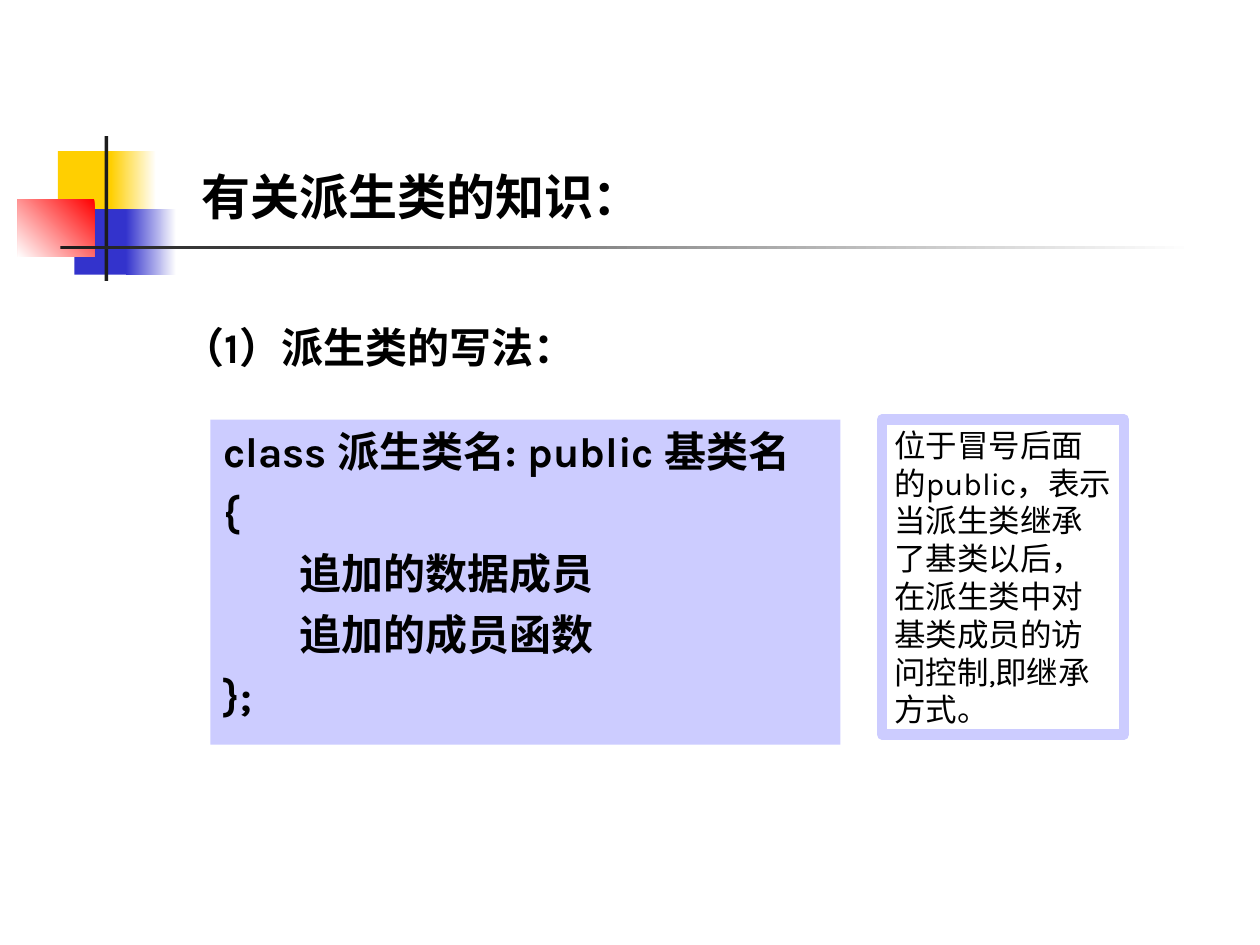
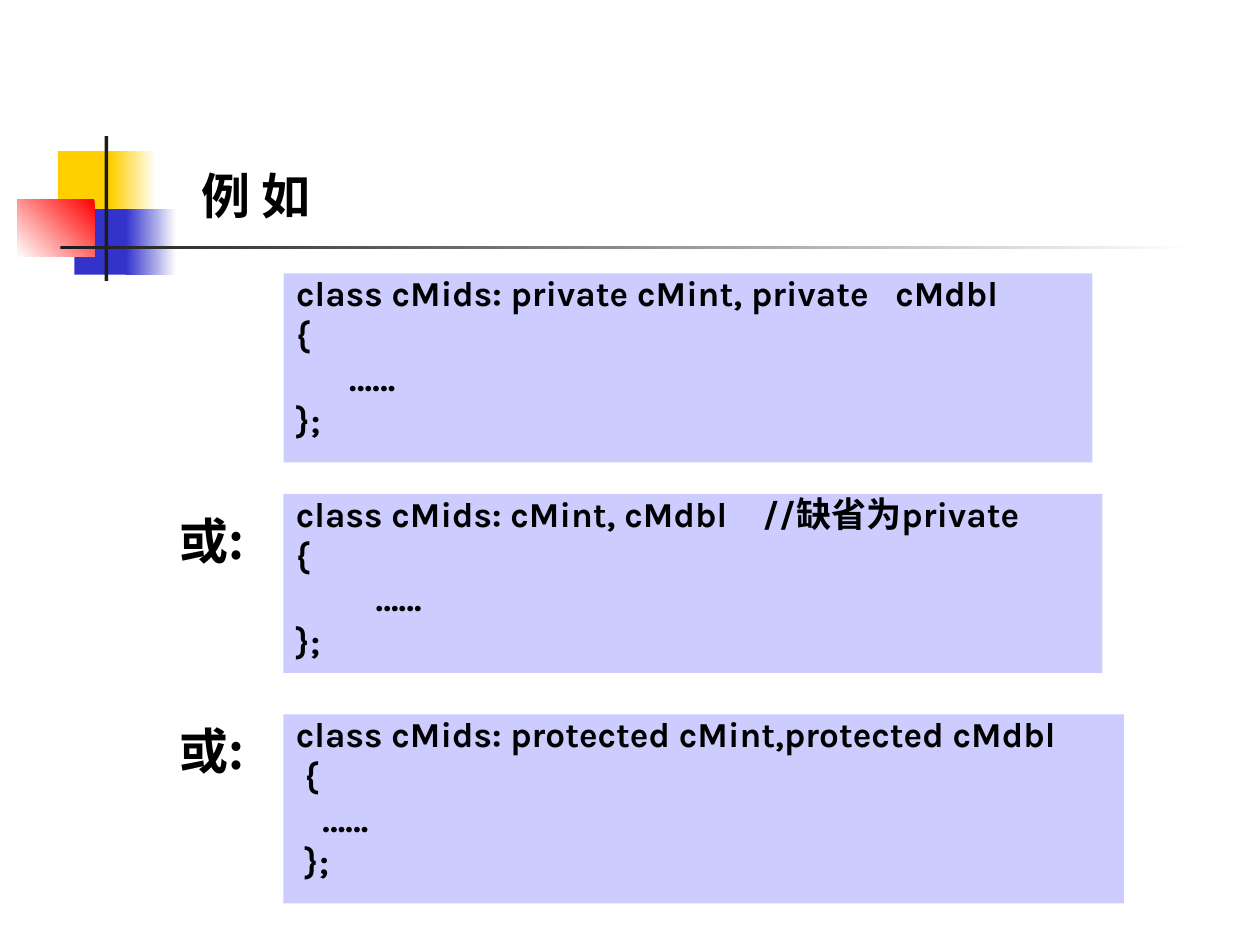
from lxml.etree import SubElement
from pptx import Presentation
from pptx.dml.color import RGBColor
from pptx.enum.shapes import MSO_SHAPE
from pptx.enum.text import MSO_ANCHOR, MSO_AUTO_SIZE, PP_ALIGN
from pptx.oxml.ns import qn
from pptx.util import Inches, Pt

BLACK = RGBColor(0x00, 0x00, 0x00)
WHITE = RGBColor(0xFF, 0xFF, 0xFF)
YELLOW = RGBColor(0xFF, 0xCF, 0x01)
BLUE = RGBColor(0x33, 0x33, 0xCC)
RED = RGBColor(0xFF, 0x00, 0x00)
CHARCOAL = RGBColor(0x1C, 0x1C, 0x1C)
LILAC = RGBColor(0xCC, 0xCC, 0xFF)
LATIN, CJK = "Karla", "Noto Sans CJK SC"

TITLE = {"size": Pt(28), "name": CJK, "bold": True}
HEADING = {"size": Pt(24), "name": LATIN, "bold": True}
CODE = {"size": Pt(20), "name": LATIN, "bold": True}
NOTE = {"size": Pt(18), "name": LATIN, "bold": False}

ORNAMENT = [
    ((0.46, 1.2, 0.48, 0.52), (YELLOW,), 0),
    ((0.88, 1.2, 0.36, 0.52), (YELLOW, WHITE), 0),
    ((0.59, 1.66, 0.46, 0.52), (BLUE,), 0),
    ((1, 1.66, 0.4, 0.52), (BLUE, WHITE), 0),
    ((0.14, 1.58, 0.61, 0.46), (RED, WHITE), 225),
    ((0.83, 1.08, 0.03, 1.15), (CHARCOAL,), 0),
    ((0.48, 1.95, 9, 0.03), (CHARCOAL, WHITE), 0),
]


def place(sp, box):
    """Move and size a shape to a box in inches."""
    sp.left, sp.top, sp.width, sp.height = map(Inches, box)


def add_rect(slide, box):
    """Add a plain rectangle without line or shadow."""
    sp = slide.shapes.add_shape(MSO_SHAPE.RECTANGLE, *map(Inches, box))
    sp.shadow.inherit = False
    sp.line.fill.background()
    return sp


def add_ornament(slide, layout):
    """Draw the coloured squares and rules, then hand them to the layout."""
    for box, colors, angle in ORNAMENT:
        sp = add_rect(slide, box)
        if len(colors) == 1:
            sp.fill.solid()
            sp.fill.fore_color.rgb = colors[0]
        else:
            sp.fill.gradient()
            sp.fill.gradient_angle = angle
            for stop, color in zip(sp.fill.gradient_stops, colors):
                stop.color.rgb = color
        layout.shapes.element.append(sp.element)


def write(sp, lines, style, anchor=MSO_ANCHOR.TOP, wrap=True, hang=0, gap=0, spacing=1.0):
    """Write one formatted paragraph per line."""
    tf = sp.text_frame
    frame = {"word_wrap": wrap, "auto_size": MSO_AUTO_SIZE.NONE, "vertical_anchor": anchor}
    for key, value in frame.items():
        setattr(tf, key, value)
    for i, line in enumerate(lines):
        p = tf.paragraphs[0] if i == 0 else tf.add_paragraph()
        pPr = p._p.get_or_add_pPr()
        pPr.set("marL", str(Inches(hang)))
        pPr.set("indent", str(-Inches(hang)))
        SubElement(pPr, qn("a:buNone"))
        layout = {"alignment": PP_ALIGN.LEFT, "line_spacing": spacing,
                  "space_before": Pt(gap if i else 0)}
        for key, value in layout.items():
            setattr(p, key, value)
        r = p.add_run()
        r.text = line
        for key, value in style.items():
            setattr(r.font, key, value)
        r.font.color.rgb = BLACK
        SubElement(r._r.get_or_add_rPr(), qn("a:ea")).set("typeface", CJK)


def add_title(slide, box, text):
    """Fill the title placeholder."""
    place(slide.shapes.title, box)
    write(slide.shapes.title, [text], TITLE, MSO_ANCHOR.BOTTOM)


def code_panel(sp, lines, style=CODE, gap=5, spacing=0.8):
    """Turn a shape into a lilac panel of code."""
    sp.fill.solid()
    sp.fill.fore_color.rgb = LILAC
    write(sp, lines, style, hang=0.38, gap=gap, spacing=spacing)


def add_label(slide, box, text, style, wrap=False):
    """Add a free label."""
    write(slide.shapes.add_textbox(*map(Inches, box)), [text], style, wrap=wrap)


def add_note(slide, box, text):
    """Add a note framed in lilac."""
    sp = add_rect(slide, box)
    sp.fill.background()
    sp.line.color.rgb = LILAC
    sp.line.width = Pt(6)
    write(sp, [text], NOTE)


def syntax_slide(slide):
    """Build the slide on how a derived class is written."""
    add_title(slide, (1.5, 1.17, 3.83, 0.67), "有关派生类的知识：")
    body = slide.placeholders[1]
    place(body, (1.67, 3.33, 5, 2.58))
    code_panel(body, ["class 派生类名: public 基类名", "{", "        追加的数据成员",
                      "        追加的成员函数", "};"], HEADING, gap=6, spacing=1.0)
    add_label(slide, (1.35, 2.5, 3.55, 0.5), "（1）派生类的写法：", HEADING)
    add_note(slide, (7, 3.33, 1.92, 2.5),
             "位于冒号后面的public，表示当派生类继承了基类以后，"
             "在派生类中对基类成员的访问控制,即继承方式。")


def example_slide(slide):
    """Build the slide with three ways to inherit."""
    add_title(slide, (1.5, 1.33, 1.67, 0.5), "例 如")
    body = slide.placeholders[1]
    place(body, (2.25, 2.17, 6.42, 1.5))
    code_panel(body, ["class cMids: private cMint, private   cMdbl", "{", "      ……", "};"])
    variants = [
        ((2.25, 3.92, 6.5, 1.42), 4,
         ["class cMids: cMint, cMdbl    //缺省为private", "{", "         ……", "};"]),
        ((2.25, 5.67, 6.67, 1.5), 5.67,
         ["class cMids: protected cMint,protected cMdbl", " {", "   ……", " };"]),
    ]
    for box, label_top, lines in variants:
        code_panel(add_rect(slide, box), lines)
        add_label(slide, (1.33, label_top, 0.6, 1.1), "或:", TITLE, wrap=True)


def main():
    """Build and save the presentation."""
    prs = Presentation()
    prs.slide_width, prs.slide_height = Inches(10), Inches(7.5)
    layout = prs.slide_layouts[1]
    slides = [prs.slides.add_slide(layout) for _ in range(2)]
    add_ornament(slides[0], layout)
    syntax_slide(slides[0])
    example_slide(slides[1])
    prs.save("out.pptx")


if __name__ == "__main__":
    main()
